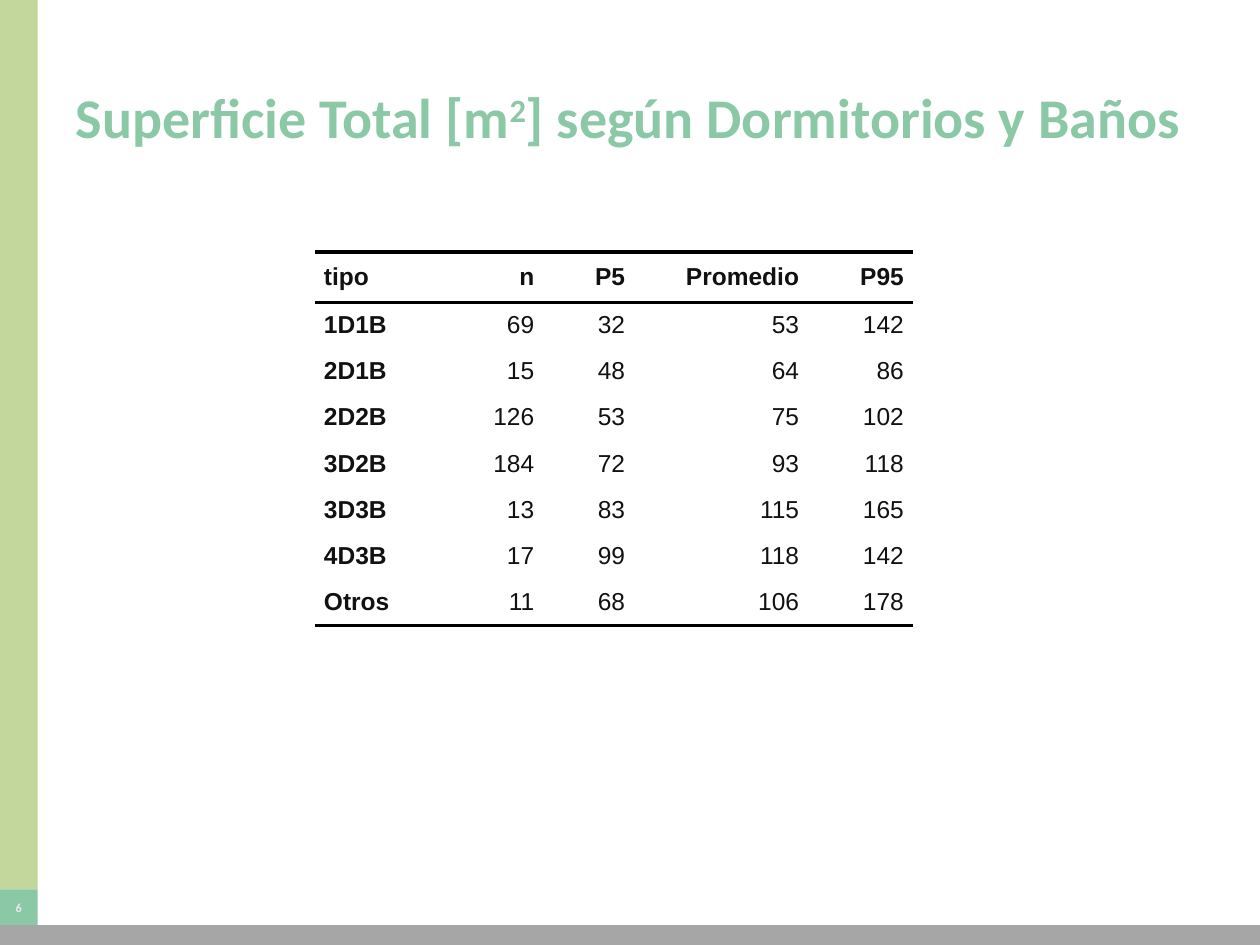
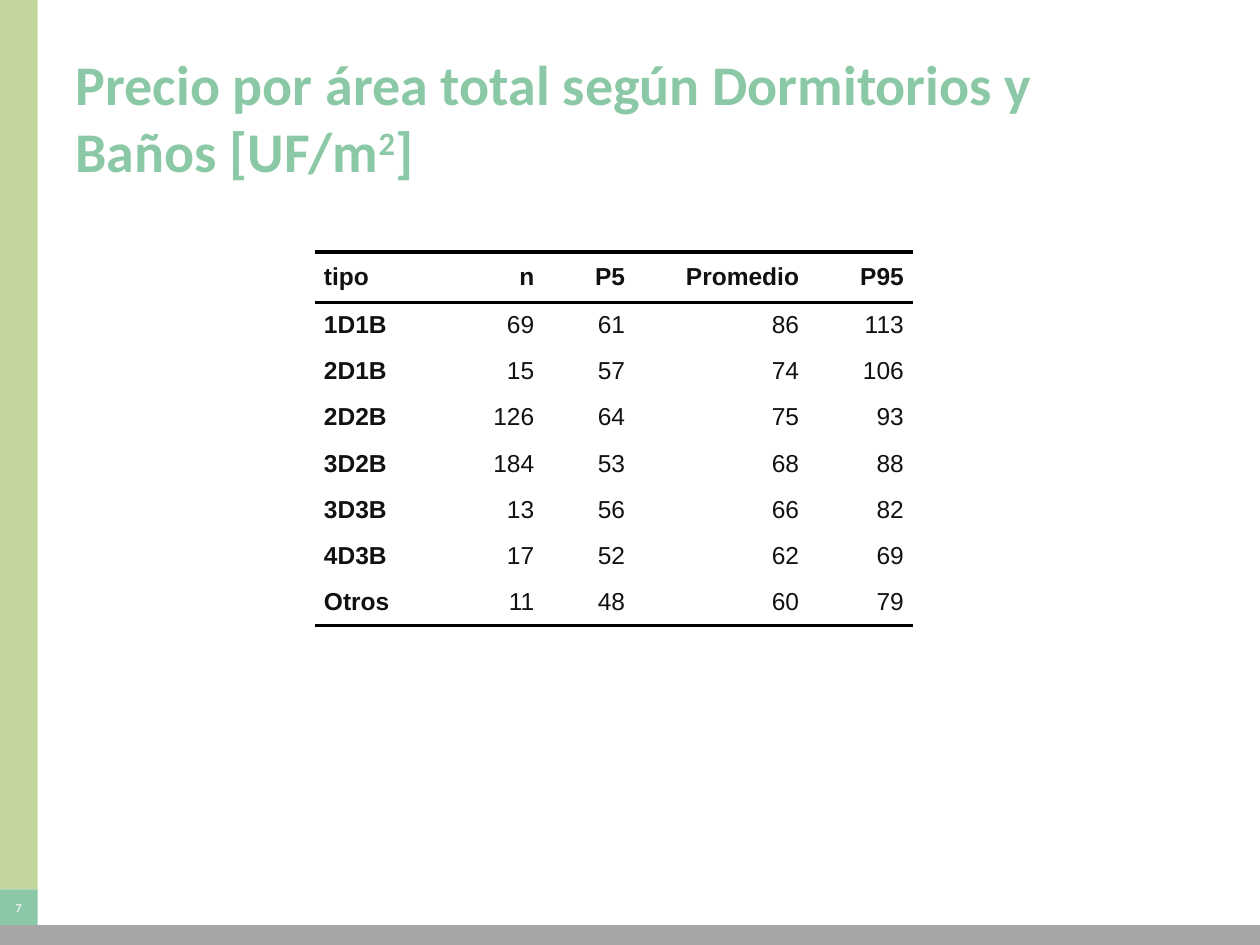
from lxml.etree import SubElement
from pptx import Presentation
from pptx.dml.color import RGBColor
from pptx.enum.shapes import MSO_SHAPE
from pptx.enum.text import MSO_ANCHOR, MSO_AUTO_SIZE, PP_ALIGN
from pptx.oxml.ns import qn
from pptx.util import Cm, Pt

LIME = RGBColor(0xC3, 0xD6, 0x9B)
GREEN = RGBColor(0x8B, 0xC8, 0xA6)
GRAY = RGBColor(0xA6, 0xA6, 0xA6)
PALE = RGBColor(0xEC, 0xEC, 0xEC)
INK = RGBColor(0x11, 0x11, 0x11)
BLACK = RGBColor(0, 0, 0)

NO_STYLE = "{2D5ABB26-0587-4C30-8999-92F81FD0307C}"
FIRST_NUMBER = 6
HEADER = ["tipo", "n", "P5", "Promedio", "P95"]
COLUMN_WIDTHS = [2.54, 2.06, 1.83, 3.51, 2.11]
HEADER_HEIGHT, ROW_HEIGHT = 1.01, 0.93
COUNTS = {"1D1B": 69, "2D1B": 15, "2D2B": 126, "3D2B": 184,
          "3D3B": 13, "4D3B": 17, "Otros": 11}

# Title parts (before the exponent, exponent, after it) and P5, Promedio, P95 by type
SLIDES = [
    (("Superficie Total [m", "2", "] según Dormitorios y Baños"),
     [(32, 53, 142), (48, 64, 86), (53, 75, 102), (72, 93, 118),
      (83, 115, 165), (99, 118, 142), (68, 106, 178)]),
    (("Precio por área total según Dormitorios y Baños [UF/m", "2", "]"),
     [(61, 86, 113), (57, 74, 106), (64, 75, 93), (53, 68, 88),
      (56, 66, 82), (52, 62, 69), (48, 60, 79)]),
]


def add_band(slide, left, top, width, height, color):
    band = slide.shapes.add_shape(
        MSO_SHAPE.RECTANGLE, Cm(left), Cm(top), Cm(width), Cm(height))
    band.shadow.inherit = False
    band.fill.solid()
    band.fill.fore_color.rgb = color
    band.line.fill.background()
    return band


def add_rules(cell, sides):
    """Draw black 2 pt borders; the lines must come before the cell's fill."""
    properties = cell._tc.get_or_add_tcPr()
    for position, side in enumerate(sides):
        line = SubElement(properties, qn(f"a:ln{side}"), w=str(Pt(2)))
        fill = SubElement(line, qn("a:solidFill"))
        SubElement(fill, qn("a:srgbClr"), val=str(BLACK))
        properties.insert(position, line)


presentation = Presentation()
presentation.slide_width = Cm(25.4)
presentation.slide_height = Cm(19.05)

for number, (title_parts, statistics) in enumerate(SLIDES, FIRST_NUMBER):
    slide = presentation.slides.add_slide(presentation.slide_layouts[5])

    # Side band, page number and footer band
    add_band(slide, 0, 0, 0.76, 17.93, LIME)
    number_box = add_band(slide, 0, 17.93, 0.76, 0.74, GREEN)
    add_band(slide, 0, 18.65, 25.4, 0.4, GRAY)
    frame = number_box.text_frame
    frame.margin_left = frame.margin_right = 0
    frame.margin_top = frame.margin_bottom = 0
    frame.vertical_anchor = MSO_ANCHOR.MIDDLE
    frame.text = str(number)
    paragraph = frame.paragraphs[0]
    paragraph.alignment = PP_ALIGN.CENTER
    font = paragraph.runs[0].font
    font.name, font.size, font.bold = "Calibri", Pt(7), True
    font.color.rgb = PALE

    # Title with a raised exponent
    title = slide.shapes.title
    title.left, title.top = Cm(1.27), Cm(0.76)
    title.width, title.height = Cm(22.86), Cm(3.18)
    frame = title.text_frame
    frame.word_wrap = True
    frame.auto_size = MSO_AUTO_SIZE.NONE
    frame.vertical_anchor = MSO_ANCHOR.MIDDLE
    paragraph = frame.paragraphs[0]
    paragraph.alignment = PP_ALIGN.LEFT
    for part in title_parts:
        run = paragraph.add_run()
        run.text = part
        run.font.name, run.font.size, run.font.bold = "Calibri", Pt(32), True
        run.font.color.rgb = GREEN
    paragraph.runs[1].font._element.set("baseline", "30000")

    # Statistics table
    rows = [HEADER] + [
        [kind, count, *values]
        for (kind, count), values in zip(COUNTS.items(), statistics)]
    last_row = len(rows) - 1
    table = slide.shapes.add_table(
        len(rows), len(HEADER), Cm(6.35), Cm(5.08), Cm(sum(COLUMN_WIDTHS)),
        Cm(HEADER_HEIGHT + last_row * ROW_HEIGHT)).table
    table.horz_banding = False
    table._tbl.tblPr.find(qn("a:tableStyleId")).text = NO_STYLE
    for column, width in zip(table.columns, COLUMN_WIDTHS):
        column.width = Cm(width)

    for row_index, row in enumerate(rows):
        is_header = row_index == 0
        table.rows[row_index].height = Cm(HEADER_HEIGHT if is_header else ROW_HEIGHT)
        for column_index, value in enumerate(row):
            is_label = column_index == 0
            cell = table.cell(row_index, column_index)
            cell.fill.background()
            cell.vertical_anchor = MSO_ANCHOR.MIDDLE
            cell.margin_left = cell.margin_right = Cm(0.18)
            cell.margin_top = cell.margin_bottom = 0
            cell.text = str(value)
            paragraph = cell.text_frame.paragraphs[0]
            paragraph.alignment = PP_ALIGN.LEFT if is_label else PP_ALIGN.RIGHT
            paragraph.space_before = paragraph.space_after = Pt(2)
            font = paragraph.runs[0].font
            font.name, font.size = "Arial", Pt(14)
            font.bold = is_header or is_label
            font.color.rgb = INK
            if is_header:
                add_rules(cell, "TB")
            elif row_index == last_row:
                add_rules(cell, "B")

presentation.save("out.pptx")
